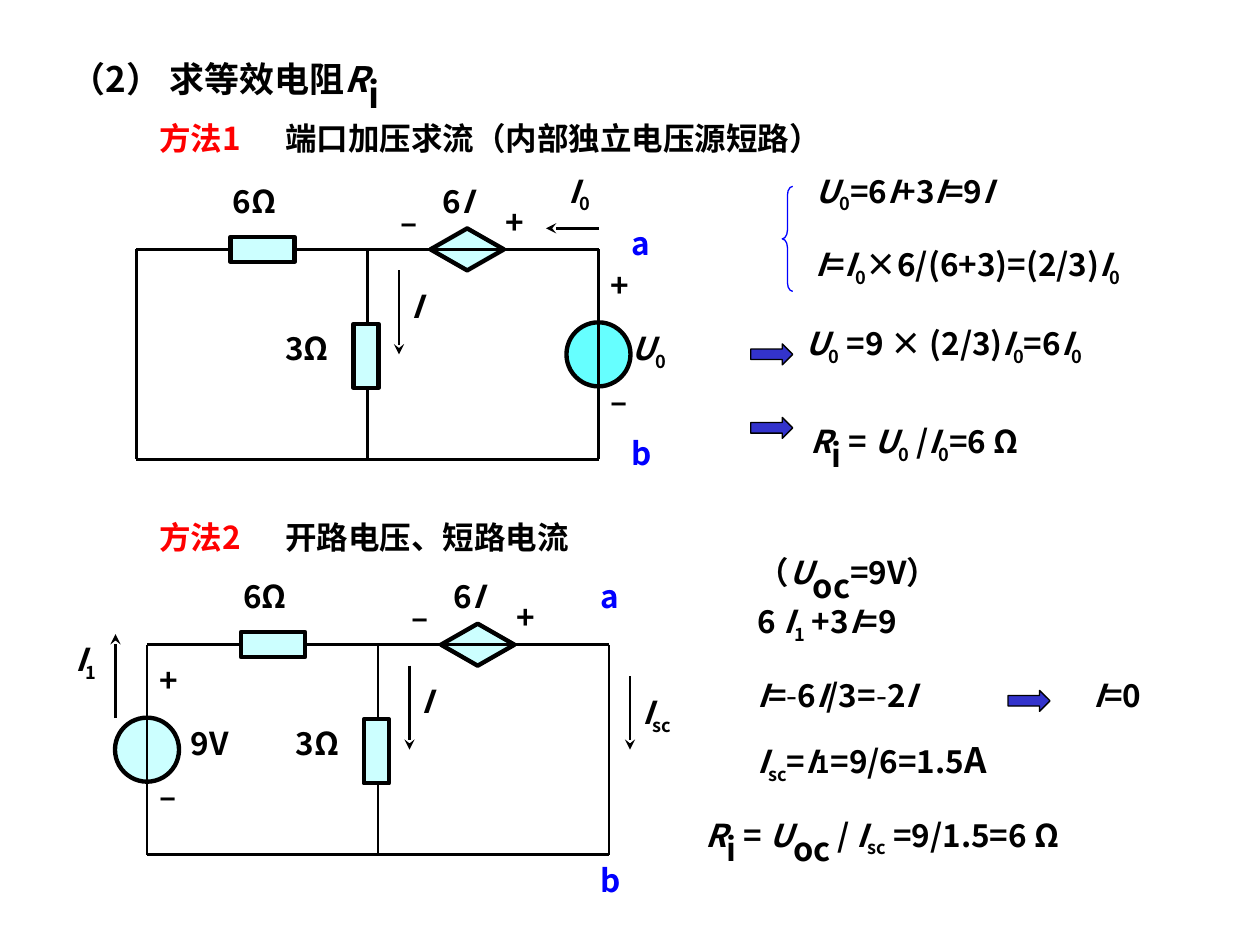
from pptx import Presentation
from pptx.dml.color import RGBColor
from pptx.enum.shapes import MSO_CONNECTOR, MSO_SHAPE
from pptx.enum.text import MSO_ANCHOR, MSO_AUTO_SIZE, PP_ALIGN
from pptx.oxml.ns import qn
from pptx.util import Inches, Pt
from lxml import etree

STRAIGHT = MSO_CONNECTOR.STRAIGHT
RECTANGLE, DIAMOND, ELLIPSE = MSO_SHAPE.RECTANGLE, MSO_SHAPE.DIAMOND, MSO_SHAPE.OVAL
ARROW, BRACE = MSO_SHAPE.RIGHT_ARROW, MSO_SHAPE.LEFT_BRACE
TOP, LEFT, FIT = MSO_ANCHOR.TOP, PP_ALIGN.LEFT, MSO_AUTO_SIZE.SHAPE_TO_FIT_TEXT

FONT = "Noto Sans CJK SC"
COLORS = {"ink": "000000", "method": "FF0000", "terminal": "0000FF",
          "part": "CCFFFF", "port_source": "66FFFF", "arrow": "3333CC"}
COLUMNS, ROWS = 120, 90  # one cell is a twelfth of an inch
TEXT_ROWS = 6
RESISTOR = (6.1, 2.4)
SOURCE = (6.1, 6.1)


def grid(cells):
    return Inches(cells / 12)


def color(name):
    return RGBColor.from_string(COLORS[name])


# Text: a plain string or a (text, formatting) pair for each run
def var(symbol, subscript="", size=None):
    runs = [(symbol, {"italic": True})]
    if subscript:
        runs.append((subscript, {"subscript": True, "size": size}))
    return runs


def write_runs(text_frame, runs, size=18, name="ink"):
    text_frame.word_wrap = True
    text_frame.auto_size = FIT
    text_frame.vertical_anchor = TOP
    paragraph = text_frame.paragraphs[0]
    paragraph.alignment = LEFT
    spacing = etree.SubElement(paragraph._p.get_or_add_pPr(), qn("a:spcBef"))
    etree.SubElement(spacing, qn("a:spcPct"), val="50000")
    for item in runs:
        text, style = (item, {}) if isinstance(item, str) else item
        run = paragraph.add_run()
        run.text = text
        font = run.font
        font.name = FONT
        font.size = Pt(style.get("size") or size)
        font.bold = style.get("bold", True)
        font.italic = style.get("italic", False)
        font.color.rgb = color(style.get("color", name))
        properties = run._r.get_or_add_rPr()
        etree.SubElement(properties, qn("a:ea"), typeface=FONT)
        if style.get("subscript"):
            properties.set("baseline", "-25000")


def add_text(shapes, column, row, width, runs, name="ink"):
    box = shapes.add_textbox(grid(column), grid(row), grid(width), grid(TEXT_ROWS))
    write_runs(box.text_frame, runs, name=name)


# Shapes and lines
def add_part(shapes, kind, column, row, width, height, fill=None, line="ink", weight=2.5):
    shape = shapes.add_shape(kind, grid(column), grid(row), grid(width), grid(height))
    shape.shadow.inherit = False
    if fill:
        shape.fill.solid()
        shape.fill.fore_color.rgb = color(fill)
    else:
        shape.fill.background()
    shape.line.color.rgb = color(line)
    shape.line.width = Pt(weight)
    return shape


def add_centered(shapes, kind, column, row, size, fill="part"):
    width, height = size
    return add_part(shapes, kind, column - width / 2, row - height / 2, width, height, fill)


def add_wire(shapes, start, end, arrow=False):
    wire = shapes.add_connector(STRAIGHT, *(grid(cells) for cells in start + end))
    wire.line.color.rgb = color("ink")
    wire.line.width = Pt(1.5)
    if arrow:
        etree.SubElement(wire.line._get_or_add_ln(), qn("a:tailEnd"), type="stealth")
    etree.SubElement(wire._element.spPr, qn("a:effectLst"))
    return wire


# Circuit: positions count from the left end of its upper wire
def add_circuit(slide, left, top, source_column, source_fill, labels, arrows):
    shapes = slide.shapes.add_group_shape().shapes
    middle, right, bottom = 22, 44, 20

    def at(column, row):
        return left + column, top + row

    add_wire(shapes, at(middle, 0), at(middle, bottom))
    upright = add_centered(shapes, RECTANGLE, *at(middle - 0.15, 10.15), RESISTOR)
    upright.rotation = 90
    resistor = add_centered(shapes, RECTANGLE, *at(12, 0), RESISTOR)
    add_centered(shapes, DIAMOND, *at(31.5, 0), (7, 4))
    add_centered(shapes, ELLIPSE, *at(source_column, 10), SOURCE, source_fill)

    add_wire(shapes, at(0, 0), at(9, 0)).end_connect(resistor, 1)
    add_wire(shapes, at(15, 0), at(right, 0)).begin_connect(resistor, 3)
    add_wire(shapes, at(0, bottom), at(right, bottom))
    for column in (0, right):
        add_wire(shapes, at(column, 0), at(column, bottom))

    common_labels = [
        (8, -7, 8, ["6Ω"]), (13, 7, 9, ["3Ω"]), (25, 3, 6, var("I")),
        (28, -7, 9, ["6"] + var("I")), (24, -5, 6, ["–"]), (34, -5, 5, ["+"]),
        (source_column, 1, 4, ["+"]), (source_column, 12, 5, ["–"]),
    ]
    for column, row, width, runs, *name in common_labels + labels:
        add_text(shapes, *at(column, row), width, runs, *name)
    for start, end in [((25, 2), (25, 10))] + arrows:
        add_wire(shapes, at(*start), at(*end), arrow=True)


def add_title(slide):
    title = slide.shapes.title
    title.left, title.top, title.width, title.height = map(grid, (5.5, 2.25, 43, TEXT_ROWS))
    write_runs(title.text_frame, ["（2） 求等效电阻"] + var("R", "i", 36), size=20)


def add_formulas(slide):
    minus = ("-", {"bold": False})
    formulas = [
        (76.5, 15.75, 27, var("U", "0") + ["=6"] + var("I") + ["+3"] + var("I") + ["=9"] + var("I")),
        (76.5, 22.75, 38, var("I") + ["="] + var("I", "0") + ["×6/(6+3)=(2/3)"] + var("I", "0")),
        (75.5, 30.25, 39, var("U", "0") + [" =9 × (2/3)"] + var("I", "0") + ["=6"] + var("I", "0")),
        (76, 37.25, 30, var("R", "i", 32) + [" = "] + var("U", "0") + [" /"] + var("I", "0") + ["=6 Ω"]),
        (71, 49.75, 25, ["（"] + var("U", "oc", 32) + ["=9V）"]),
        (71, 56.75, 21, ["6 "] + var("I", "1") + [" +3"] + var("I") + ["=9"]),
        (71, 63.75, 25, var("I") + ["=", minus, "6"] + var("I") + ["/3=", minus, "2"] + var("I")),
        (103, 63.75, 11, var("I") + ["=0"]),
        (71, 69.75, 33, var("I", "sc") + ["="] + var("I")
         + [("1", {"size": 14}), "=9/6=1.5", ("A", {"size": 20})]),
        (66, 74.75, 44, var("R", "i", 32) + [" = "] + var("U", "oc", 32) + [" / "]
         + var("I", "sc") + [" =9/1.5=6 Ω"]),
    ]
    for column, row, width, runs in formulas:
        add_text(slide.shapes, column, row, width, runs)
    brace = add_part(slide.shapes, BRACE, 74.5, 17.75, 1, 10, line="terminal", weight=0.75)
    brace.adjustments[0] = 0.83
    for column, row in ((71.5, 32.75), (71.5, 39.75), (96, 65.75)):
        add_part(slide.shapes, ARROW, column, row, 4, 2, "arrow", weight=0.75)


def main():
    presentation = Presentation()
    presentation.slide_width, presentation.slide_height = grid(COLUMNS), grid(ROWS)
    slide = presentation.slides.add_slide(presentation.slide_layouts[5])

    add_title(slide)
    # Method headings
    for row, width, number, heading in (
            (10.75, 87, "1", "端口加压求流（内部独立电压源短路）"),
            (48.75, 56, "2", "开路电压、短路电流")):
        method = ("方法" + number + "\t", {"color": "method"})
        add_text(slide.shapes, 14, row, width, [method, heading])
    add_formulas(slide)

    # Voltage applied at the port
    add_circuit(
        slide, 13, 23.75, 44, "port_source",
        labels=[(46, 7, 8, var("U", "0")), (40, -8, 8, var("I", "0")),
                (46, -3, 6, ["a"], "terminal"), (46, 17, 4, ["b"], "terminal")],
        arrows=[((44, -2), (39, -2))])
    # Short circuit at the port
    add_circuit(
        slide, 14, 61.4, 0, "part",
        labels=[(3, 7, 8, ["9V"]), (46, 4, 8, var("I", "sc")), (-8, -1, 8, var("I", "1")),
                (42, -7, 6, ["a"], "terminal"), (42, 20, 4, ["b"], "terminal")],
        arrows=[((46, 3), (46, 10)), ((-3, 7), (-3, -1))])
    presentation.save("out.pptx")


if __name__ == "__main__":
    main()
